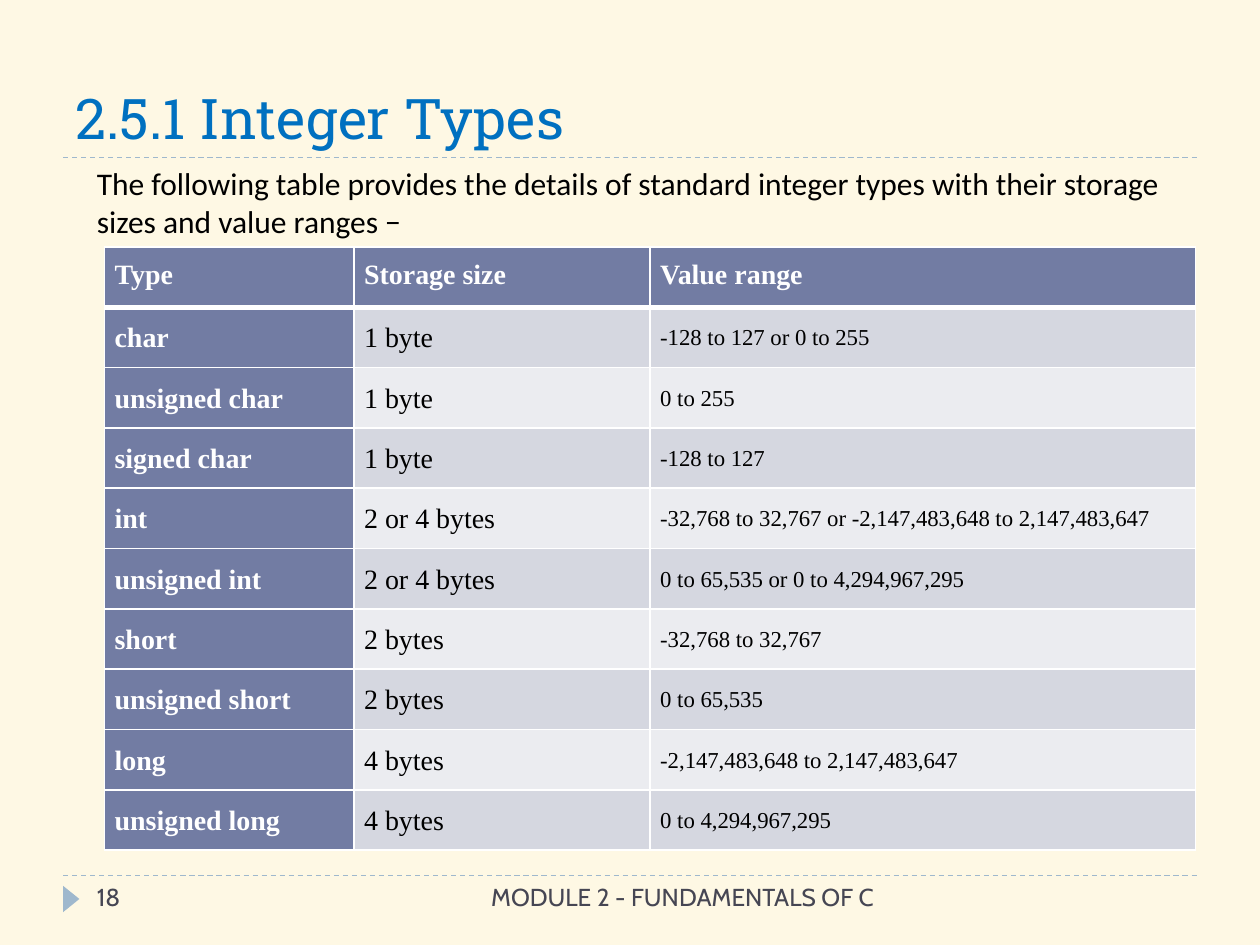
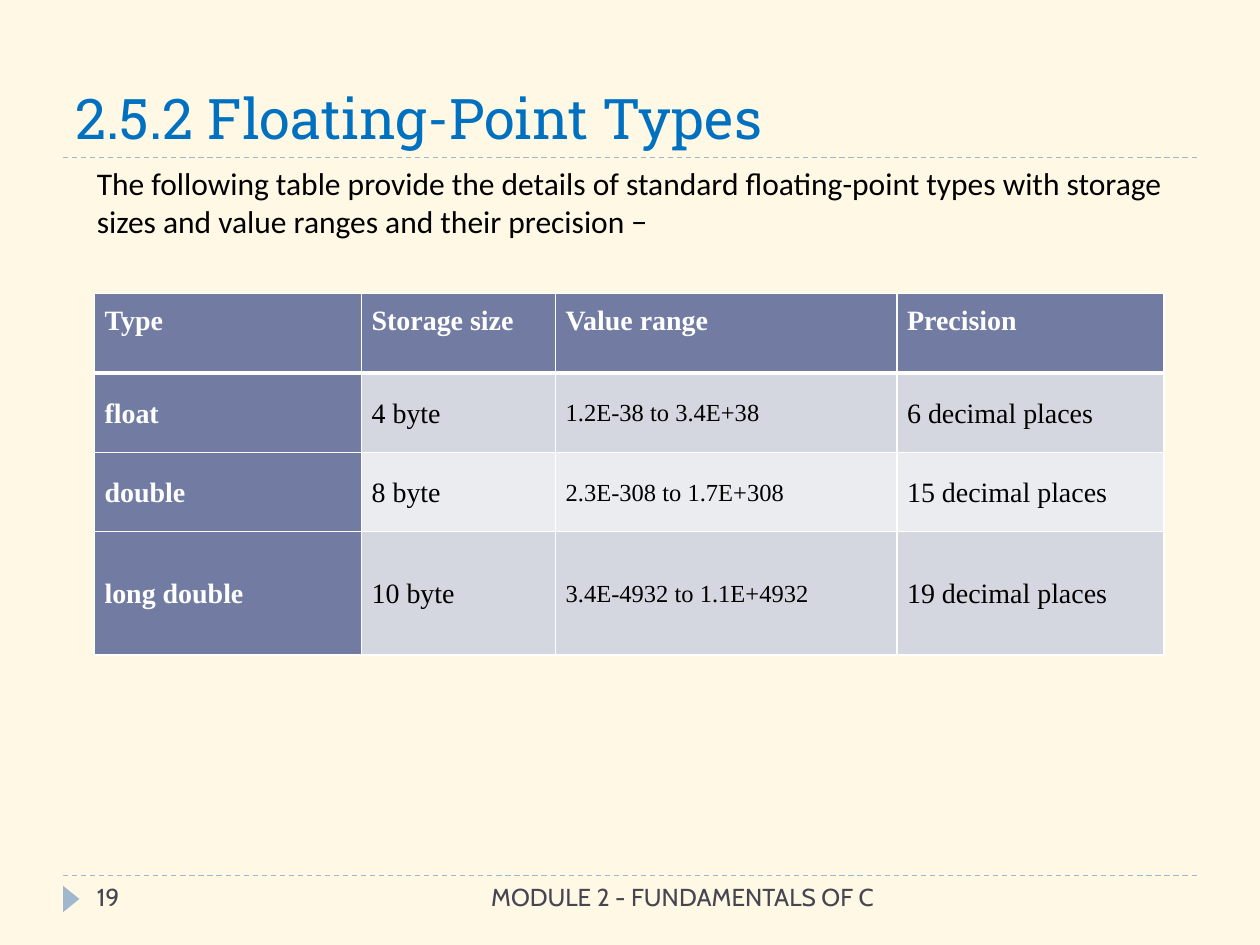
from lxml import etree
from pptx import Presentation
from pptx import util as u
from pptx.dml.color import RGBColor
from pptx.enum import dml, shapes, text
from pptx.oxml.ns import qn

# Shared colours
CREAM = RGBColor(0xFE, 0xF8, 0xE4)
TITLE_BLUE = RGBColor(0x00, 0x70, 0xC0)
PALE_BLUE = RGBColor(0x9F, 0xB8, 0xCD)
SLATE = RGBColor(0x46, 0x46, 0x53)
HEADER = RGBColor(0x72, 0x7C, 0xA3)
BANDS = RGBColor(0xEB, 0xEC, 0xF0), RGBColor(0xD5, 0xD7, 0xE0)
WHITE = RGBColor(0xFF, 0xFF, 0xFF)
BLACK = RGBColor(0x00, 0x00, 0x00)

# Shared text formats
TITLE = dict(name="Roboto Slab", size=u.Pt(32), color=TITLE_BLUE)
INTRO = dict(name="Calibri", size=u.Pt(18), color=BLACK)
FOOTER = dict(name="Cabin", size=u.Pt(14), color=SLATE)
CELL = dict(name="Times New Roman", size=u.Pt(16), color=BLACK, bold=False)
HEADING = CELL | dict(color=WHITE, bold=True)

FOOTER_TEXT = "MODULE 2 - FUNDAMENTALS OF C "
LEFT, RIGHT = 0.5, 9.5
TITLE_RULE, FOOTER_RULE = 1.25, 6.95
RANGE_COLUMN = 2

INTEGER_ROWS = [
    ("Type", "Storage size", "Value range"),
    ("char", "1 byte", "-128 to 127 or 0 to 255"),
    ("unsigned char", "1 byte", "0 to 255"),
    ("signed char", "1 byte", "-128 to 127"),
    ("int", "2 or 4 bytes",
     "-32,768 to 32,767 or -2,147,483,648 to 2,147,483,647"),
    ("unsigned int", "2 or 4 bytes", "0 to 65,535 or 0 to 4,294,967,295"),
    ("short", "2 bytes", "-32,768 to 32,767"),
    ("unsigned short", "2 bytes", "0 to 65,535"),
    ("long", "4 bytes", "-2,147,483,648 to 2,147,483,647"),
    ("unsigned long", "4 bytes", "0 to 4,294,967,295"),
]
FLOAT_ROWS = [
    ("Type", "Storage size", "Value range", "Precision"),
    ("float", "4 byte", "1.2E-38 to 3.4E+38", "6 decimal places"),
    ("double", "8 byte", "2.3E-308 to 1.7E+308", "15 decimal places"),
    ("long double", "10 byte", "3.4E-4932 to 1.1E+4932", "19 decimal places"),
]


class Lecture:
    def __init__(self):
        self.deck = Presentation()
        self.deck.slide_width, self.deck.slide_height = u.Inches(10), u.Inches(7.5)
        self.page = None

    def add_page(self, title, number):
        self.page = self.deck.slides.add_slide(self.deck.slide_layouts[5])
        fill = self.page.background.fill
        fill.solid()
        fill.fore_color.rgb = CREAM
        # Rules and page marker
        self.rule(FOOTER_RULE)
        self.rule(TITLE_RULE)
        self.marker()
        # Title
        box = self.page.shapes.title
        box.left, box.top, box.width, box.height = map(
            u.Inches, (LEFT, 0.17, RIGHT - LEFT, 1.08))
        box.text_frame.auto_size = text.MSO_AUTO_SIZE.NONE
        box.text_frame.vertical_anchor = text.MSO_ANCHOR.BOTTOM
        self.add_words(box.text_frame, title, TITLE)
        # Footer
        self.text_box((3.17, FOOTER_RULE, 3.91, 0.4), FOOTER_TEXT, FOOTER,
                      text.PP_ALIGN.RIGHT)
        self.text_box((0.67, FOOTER_RULE, 2.17, 0.4), str(number), FOOTER)

    def add_words(self, frame, words, style, align=text.PP_ALIGN.LEFT):
        para = frame.paragraphs[0]
        para.alignment = align
        span = para.add_run()
        span.text = words
        for key, value in style.items():
            if key == "color":
                span.font.color.rgb = value
            else:
                setattr(span.font, key, value)
        return para

    def text_box(self, place, words, style, align=text.PP_ALIGN.LEFT):
        box = self.page.shapes.add_textbox(*map(u.Inches, place))
        box.text_frame.word_wrap = True
        self.add_words(box.text_frame, words, style, align)

    def rule(self, y):
        line = self.page.shapes.add_connector(
            shapes.MSO_CONNECTOR.STRAIGHT,
            *map(u.Inches, (LEFT, y, RIGHT, y)))
        line.line.color.rgb = PALE_BLUE
        line.line.width = u.Pt(0.75)
        line.line.dash_style = dml.MSO_LINE.DASH
        etree.SubElement(line._element.spPr, qn("a:effectLst"))

    def marker(self):
        arrow = self.page.shapes.add_shape(
            shapes.MSO_SHAPE.ISOSCELES_TRIANGLE,
            *map(u.Inches, (0.46, 7.07, 0.21, 0.13)))
        arrow.rotation = 90
        arrow.shadow.inherit = False
        arrow.fill.solid()
        arrow.fill.fore_color.rgb = PALE_BLUE
        arrow.line.fill.background()

    def borders(self, cell, row):
        """White grid lines, heavier under the heading row."""
        widths = dict(lnL=1, lnR=1, lnT=3 if row == 1 else 1,
                      lnB=3 if row == 0 else 1)
        properties = cell._tc.get_or_add_tcPr()
        for index, (side, points) in enumerate(widths.items()):
            line = etree.Element(qn(f"a:{side}"), w=str(u.Pt(points)))
            fill = etree.SubElement(line, qn("a:solidFill"))
            etree.SubElement(fill, qn("a:srgbClr"), val=str(WHITE))
            properties.insert(index, line)

    def table(self, left, top, widths, heights, rows, range_size):
        grid = self.page.shapes.add_table(
            len(rows), len(widths),
            *map(u.Inches, (left, top, sum(widths), sum(heights)))).table
        for column, width in zip(grid.columns, widths):
            column.width = u.Inches(width)
        for r, (words, height) in enumerate(zip(rows, heights)):
            grid.rows[r].height = u.Inches(height)
            for c, word in enumerate(words):
                self.cell(grid.cell(r, c), r, c, word, range_size)

    def cell(self, cell, row, column, word, range_size):
        is_heading = row == 0 or column == 0
        style = HEADING if is_heading else CELL
        if row and column == RANGE_COLUMN:
            style = style | dict(size=u.Pt(range_size))
        for side in ("left", "top", "right", "bottom"):
            setattr(cell, f"margin_{side}", u.Inches(0.08))
        cell.vertical_anchor = (text.MSO_ANCHOR.MIDDLE if row
                                else text.MSO_ANCHOR.TOP)
        cell.fill.solid()
        cell.fill.fore_color.rgb = HEADER if is_heading else BANDS[row % 2]
        self.borders(cell, row)
        self.add_words(cell.text_frame, word, style).line_spacing = 1.07


def main():
    lecture = Lecture()
    intro_place = (0.67, TITLE_RULE, 9, 0.71)

    # Integer types
    lecture.add_page("2.5.1 Integer Types", 18)
    lecture.text_box(
        intro_place,
        "The following table provides the details of standard integer types "
        "with their storage sizes and value ranges −", INTRO)
    lecture.table(0.83, 1.96, (1.98, 2.35, 4.33),
                  [4.79 / len(INTEGER_ROWS)] * len(INTEGER_ROWS),
                  INTEGER_ROWS, 13)

    # Floating-point types
    lecture.add_page("2.5.2 Floating-Point Types", 19)
    lecture.text_box(
        intro_place,
        "The following table provide the details of standard floating-point "
        "types with storage sizes and value ranges and their precision −",
        INTRO)
    lecture.table(0.75, 2.33, (2.12, 1.54, 2.71, 2.12),
                  (0.63, 0.63, 0.63, 0.98), FLOAT_ROWS, 14)

    lecture.deck.save("out.pptx")


if __name__ == "__main__":
    main()
